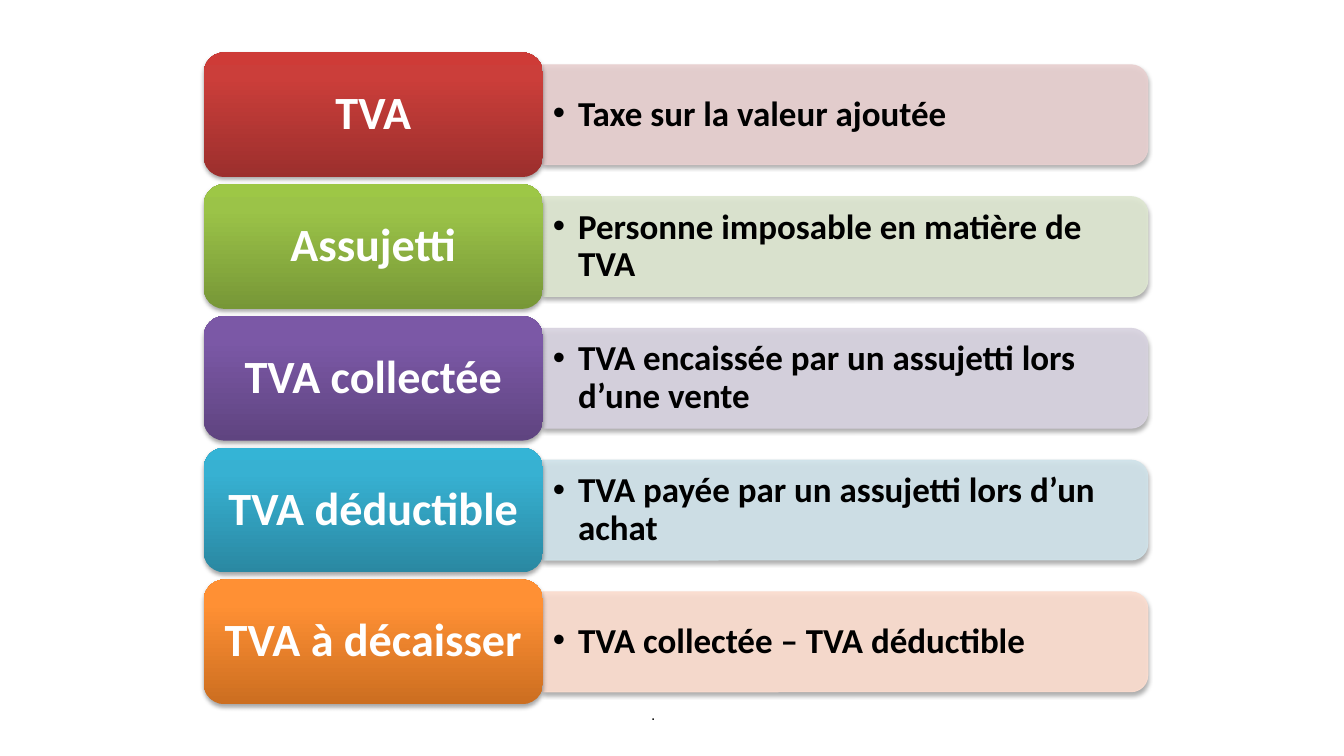
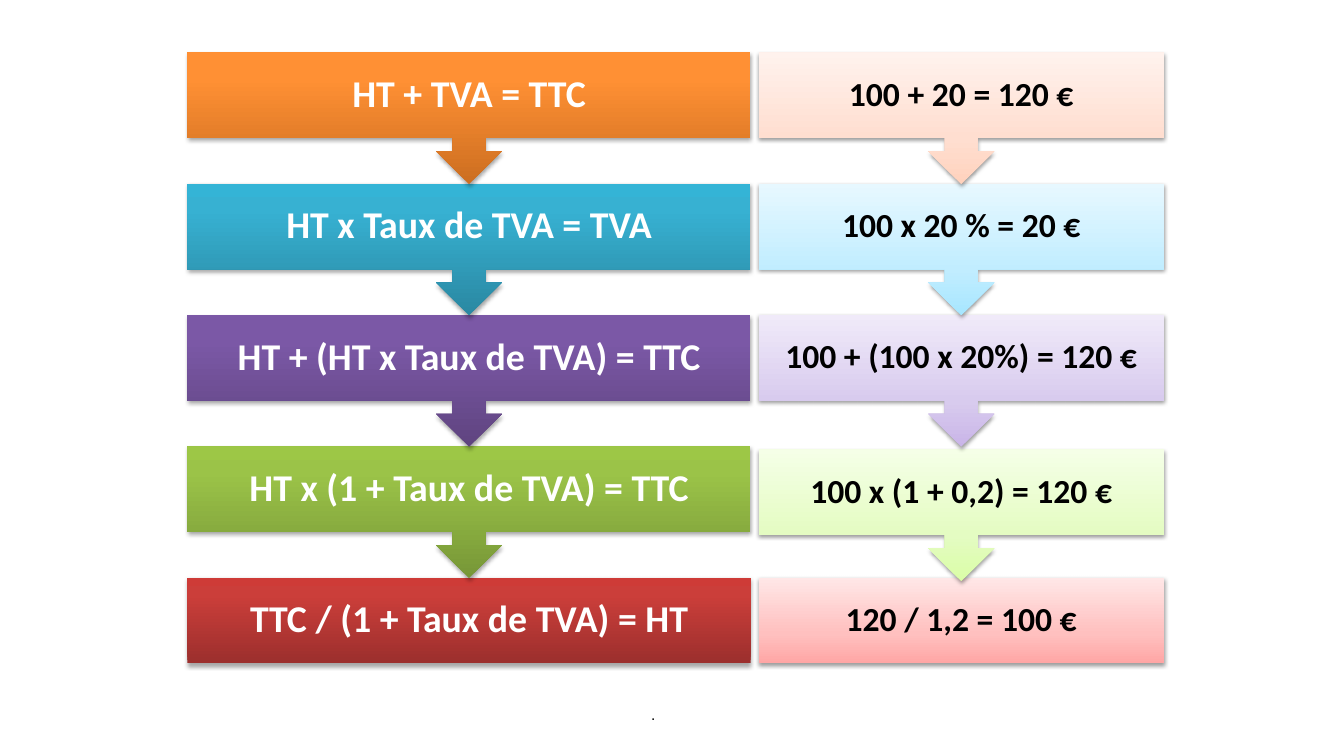
from copy import deepcopy

from lxml.etree import SubElement
from pptx import Presentation
from pptx.dml.color import RGBColor
from pptx.enum.shapes import MSO_SHAPE
from pptx.enum.text import MSO_ANCHOR, PP_ALIGN
from pptx.oxml.ns import qn
from pptx.util import Inches, Pt

COLORS = {
    "text": "000000",
    "light_text": "FFFFFF",
    "red": ["9C2F2D", "CB3E3A", "CE3B37"],
    "green": ["779737", "9BC348", "9DC746"],
    "purple": ["5F4480", "7B58A6", "7C57A8"],
    "blue": ["2A88A2", "37B1D2", "34B4D6"],
    "orange": ["CC6E20", "FF9034", "FF9136"],
    "red_bar": "E8D0D0",
    "green_bar": "DEE7D1",
    "purple_bar": "D8D3E0",
    "blue_bar": "D0E3EA",
    "orange_bar": "FCDDCF",
    "red_pale": ["FFA6A5", "FFC0BF", "FFE7E7"],
    "green_pale": ["DAFDA7", "E4FCC2", "F5FFE7"],
    "purple_pale": ["C9B5E8", "D8CBEE", "F0EAF9"],
    "blue_pale": ["A7E6FF", "C1EDFF", "E7F8FF"],
    "orange_pale": ["FFD2BD", "FFDED0", "FFF2ED"],
}
DEFINITIONS = [
    ("red", "TVA", "Taxe sur la valeur ajoutée"),
    ("green", "Assujetti", "Personne imposable en matière de TVA"),
    ("purple", "TVA collectée", "TVA encaissée par un assujetti lors d’une vente"),
    ("blue", "TVA déductible", "TVA payée par un assujetti lors d’un achat"),
    ("orange", "TVA à décaisser", "TVA collectée – TVA déductible"),
]
# Colour, formula, example, extra drop of the example
FORMULAS = [
    ("orange", "HT + TVA = TTC", "100 + 20 = 120 €", 0),
    ("blue", "HT x Taux de TVA = TVA", "100 x 20 % = 20 €", 0),
    ("purple", "HT + (HT x Taux de TVA) = TTC", "100 + (100 x 20%) = 120 €", 0),
    ("green", "HT x (1 + Taux de TVA) = TTC", "100 x (1 + 0,2) = 120 €", 0.4),
    ("red", "TTC / (1 + Taux de TVA) = HT", "120 / 1,2 = 100 €", 0),
]

# Percent of the slide's width (horizontal) or height (vertical)
TOP = 6.93
LABEL_LEFT, LABEL_WIDTH, LABEL_HEIGHT = 15.15, 25.25, 16.5
BAR_LEFT, BAR_WIDTH, BAR_HEIGHT = 40.4, 45, 13.2
DEFINITION_PITCH, FORMULA_PITCH = 17.43, 17.37
FORMULA_LEFT, FORMULA_WIDTH = 13.95, 41.9
EXAMPLE_LEFT, EXAMPLE_WIDTH = 56.45, 30.15
CALLOUT_HEIGHT, BOX_HEIGHT = 17.43, 11.35


class Deck:
    """Holds the style and the slide being built; frames are percents of the slide."""

    def __init__(self):
        self.presentation = Presentation()
        self.presentation.slide_width = Inches(13.33)
        self.presentation.slide_height = Inches(7.5)
        self.slide = None

    def new_slide(self):
        self.slide = self.presentation.slides.add_slide(self.presentation.slide_layouts[6])
        self.text_box((47.7, 90.1, 1.8, 6.3), ".", 11, font="Arial", bold=False,
                      anchor=MSO_ANCHOR.BOTTOM, wrap=False)

    def frame(self, left, top, width, height):
        slide_width = self.presentation.slide_width
        slide_height = self.presentation.slide_height
        return [int(percent * size / 100) for percent, size in (
            (left, slide_width), (top, slide_height),
            (width, slide_width), (height, slide_height))]

    def set_text(self, shape, text, size, color="text", font="Calibri", bold=True,
                 align=PP_ALIGN.LEFT, anchor=MSO_ANCHOR.MIDDLE, wrap=True):
        text_frame = shape.text_frame
        text_frame.text = text
        text_frame.word_wrap = wrap
        text_frame.vertical_anchor = anchor
        paragraph = text_frame.paragraphs[0]
        paragraph.alignment = align
        paragraph.line_spacing = 0.9
        run_font = paragraph.runs[0].font
        run_font.name, run_font.size, run_font.bold = font, Pt(size), bold
        run_font.color.rgb = RGBColor.from_string(COLORS[color])
        return paragraph

    def text_box(self, frame, text, size, **style):
        shape = self.slide.shapes.add_textbox(*self.frame(*frame))
        return self.set_text(shape, text, size, **style)

    def bullet_text(self, frame, text):
        properties = self.text_box(frame, text, 25)._p.get_or_add_pPr()
        properties.set("marL", str(Inches(0.25)))
        properties.set("indent", str(-Inches(0.25)))
        SubElement(properties, qn("a:buFont"), typeface="Arial")
        SubElement(properties, qn("a:buChar"), char="•")

    def drop_shadow(self, shape, distance, opacity):
        shape.shadow.inherit = False
        effects = shape._element.spPr.find(qn("a:effectLst"))
        shadow = SubElement(effects, qn("a:outerShdw"), blurRad=str(Pt(3.1)),
                            dist=str(Pt(distance)), dir="5400000", rotWithShape="0")
        color = SubElement(shadow, qn("a:srgbClr"), val="000000")
        SubElement(color, qn("a:alpha"), val=str(opacity * 1000))

    def gradient_shape(self, kind, frame, color, text, size, pale=False):
        shape = self.slide.shapes.add_shape(kind, *self.frame(*frame))
        shape.line.fill.background()
        shape.fill.gradient()
        shape.fill.gradient_angle = 90
        stop_list = shape._element.spPr.find(".//" + qn("a:gsLst"))
        stop_list.append(deepcopy(stop_list[0]))
        hex_colors = COLORS[color + "_pale" if pale else color]
        positions = (0, 0.35 if pale else 0.8, 1)
        for stop, hex_color, position in zip(shape.fill.gradient_stops, hex_colors, positions):
            stop.color.rgb = RGBColor.from_string(hex_color)
            stop.position = position
        self.drop_shadow(shape, *((1.6, 38) if pale else (1.8, 35)))
        self.set_text(shape, text, size, color="text" if pale else "light_text",
                      align=PP_ALIGN.CENTER)

    def bar(self, frame, color):
        """Draws a bar rounded on its right side: a top-rounded shape turned by 90°."""
        left, top, width, height = self.frame(*frame)
        shift = (width - height) // 2
        shape = self.slide.shapes.add_shape(
            MSO_SHAPE.ROUND_2_SAME_RECTANGLE, left + shift, top - shift, height, width)
        shape.rotation = 90
        shape.line.width = Pt(0.75)
        for paint in (shape.fill, shape.line.fill):
            paint.solid()
            paint.fore_color.rgb = RGBColor.from_string(COLORS[color + "_bar"])
        for hex_color in shape._element.spPr.findall(".//" + qn("a:srgbClr")):
            SubElement(hex_color, qn("a:alpha"), val="90000")
        self.drop_shadow(shape, 1.8, 35)

    def definition(self, row, color, term, meaning):
        top = TOP + row * DEFINITION_PITCH
        bar_frame = (BAR_LEFT, top + (LABEL_HEIGHT - BAR_HEIGHT) / 2, BAR_WIDTH, BAR_HEIGHT)
        self.bar(bar_frame, color)
        self.bullet_text(bar_frame, meaning)
        self.gradient_shape(MSO_SHAPE.ROUNDED_RECTANGLE,
                            (LABEL_LEFT, top, LABEL_WIDTH, LABEL_HEIGHT), color, term, 33)

    def step(self, left, top, width, last, color, text, size, pale=False):
        """Draws one step of a chain; every step but the last points downwards."""
        kind = MSO_SHAPE.RECTANGLE if last else MSO_SHAPE.DOWN_ARROW_CALLOUT
        height = BOX_HEIGHT if last else CALLOUT_HEIGHT
        self.gradient_shape(kind, (left, top, width, height), color, text, size, pale)


def main():
    deck = Deck()
    deck.new_slide()
    for row, (color, term, meaning) in enumerate(DEFINITIONS):
        deck.definition(row, color, term, meaning)

    deck.new_slide()
    # From the bottom up, so that each arrow tip lies over the next step
    for row, (color, formula, example, drop) in reversed(list(enumerate(FORMULAS))):
        top = TOP + row * FORMULA_PITCH
        last = row == len(FORMULAS) - 1
        deck.step(FORMULA_LEFT, top, FORMULA_WIDTH, last, color, formula, 27)
        deck.step(EXAMPLE_LEFT, top + drop, EXAMPLE_WIDTH, last, color, example, 24, pale=True)
    deck.presentation.save("out.pptx")


if __name__ == "__main__":
    main()
